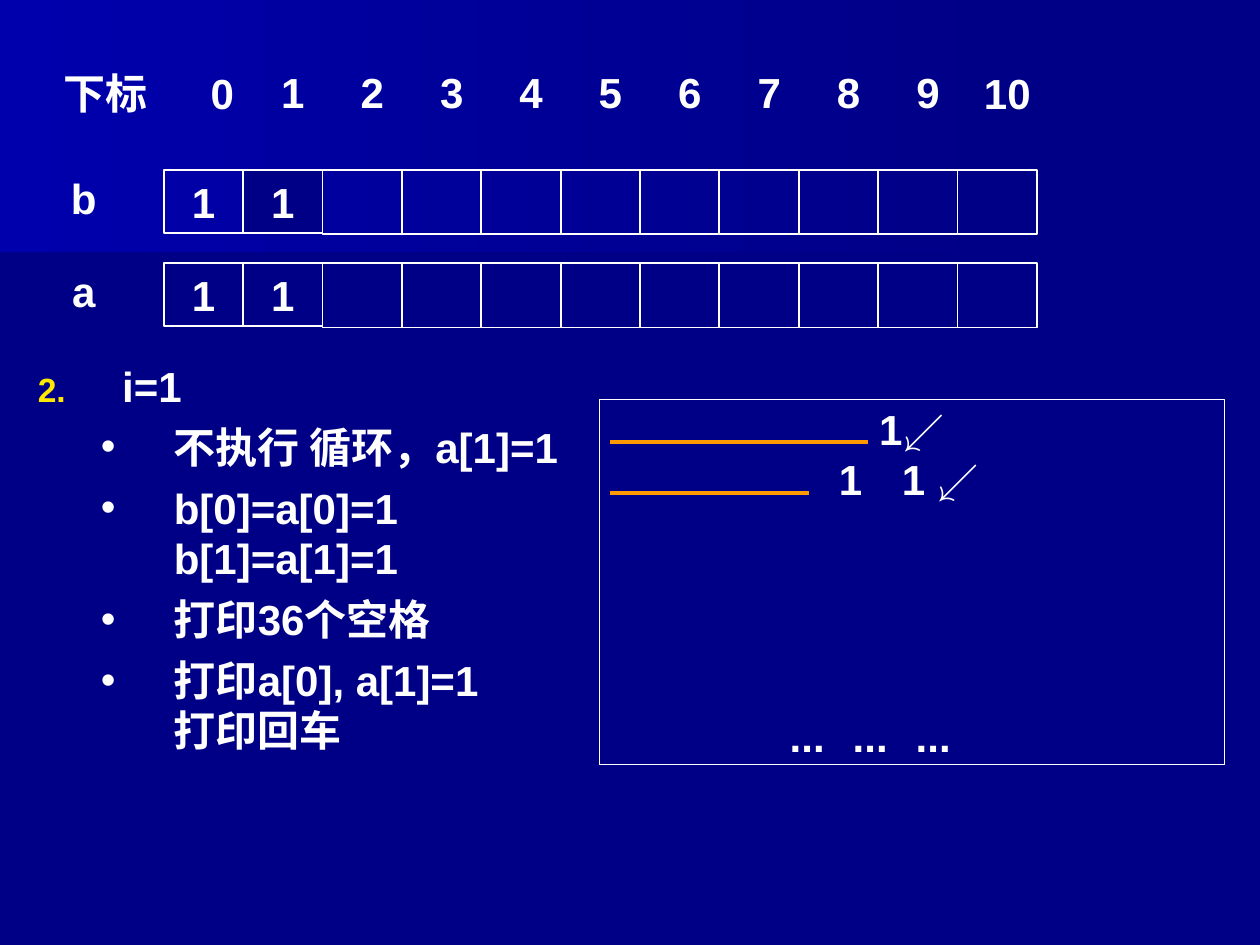
from copy import deepcopy

from lxml import etree
from pptx import Presentation
from pptx import util as u
from pptx.dml.color import RGBColor
from pptx.enum import shapes, text
from pptx.oxml.ns import qn

COLORS = {"background": "000086", "shade": "00007D", "glow": "0000AC",
          "white": "FFFFFF", "number": "FFE701", "blank": "FF9900"}
COLORS = {name: RGBColor.from_string(value) for name, value in COLORS.items()}

COLUMN = 0.63
ROW = 0.5
ARRAY_LEFT = 1.3
ARRAY_TOPS = {"b": 1.35, "a": 2.09}
INDEX_TOP = 0.48

presentation = Presentation()
presentation.slide_width, presentation.slide_height = u.Inches(10), u.Inches(7.5)
slide = presentation.slides.add_slide(presentation.slide_layouts[1])
slide.background.fill.solid()
slide.background.fill.fore_color.rgb = COLORS["background"]
title, body = slide.placeholders
title.element.getparent().remove(title.element)


def write(paragraph, words, align=text.PP_ALIGN.LEFT, before=0, left=0, hanging=0,
          level=0, tabs=(), bullet=()):
    """Fill a paragraph; bullet is a list of (tag, attributes), lengths in inches."""
    properties = paragraph._p.get_or_add_pPr()
    properties.set("marL", str(u.Inches(left)))
    properties.set("indent", str(u.Inches(-hanging)))
    for tag, attributes in bullet:
        element = etree.SubElement(properties, qn(tag), attributes)
        if tag == "a:buClr":
            etree.SubElement(element, qn("a:srgbClr"), val=str(bullet_color))
    if tabs:
        tab_list = etree.SubElement(properties, qn("a:tabLst"))
        for position in tabs:
            etree.SubElement(tab_list, qn("a:tab"), pos=str(u.Inches(position)), algn="l")
    paragraph.alignment = align
    paragraph.level = level
    paragraph.space_before = u.Pt(before)
    paragraph.text = words
    for run in paragraph.runs:
        run.font.name, run.font.size, run.font.bold = "Arial", u.Pt(24), True
        run.font.color.rgb = COLORS["white"]
    for line_break in paragraph._p.findall(qn("a:br")):
        line_break.append(deepcopy(paragraph.runs[0]._r.rPr))


def add_box(words, left, top, width=COLUMN, height=ROW, line=None, fill=None):
    place = [u.Inches(length) for length in (left, top, width, height)]
    if line:
        box = slide.shapes.add_shape(shapes.MSO_SHAPE.RECTANGLE, *place)
        box.shadow.inherit = False
        box.line.color.rgb, box.line.width = COLORS["white"], u.Pt(line)
        if fill:
            box.fill.solid()
            box.fill.fore_color.rgb = COLORS[fill]
        else:
            box.fill.background()
    else:
        box = slide.shapes.add_textbox(*place)
    box.text_frame.word_wrap = True
    box.text_frame.vertical_anchor = text.MSO_ANCHOR.TOP
    if words:
        write(box.text_frame.paragraphs[0], words, align=text.PP_ALIGN.CENTER)
    return box


# Background bands
for points, left_color in (
    ([(0, 1.01), (7.79, 1.01), (7.78, 1.53), (0, 2.17)], "shade"),
    ([(0, 0), (7.92, 0), (7.92, 1.62), (0, 2.08)], "glow"),
):
    builder = slide.shapes.build_freeform(*points[0], scale=u.Inches(1))
    builder.add_line_segments(points[1:], close=True)
    band = builder.convert_to_shape()
    band.shadow.inherit = False
    band.line.fill.background()
    band.fill.gradient()
    band.fill.gradient_angle = 180
    for stop, color, position in zip(band.fill.gradient_stops, ("background", left_color), (0, 1)):
        stop.color.rgb, stop.position = COLORS[color], position

# Index row and the two arrays
add_box("下标", 0.27, INDEX_TOP + 0.01, width=1.14)
add_box("0", 1.45, INDEX_TOP + 0.01)
for index in range(1, 11):
    add_box(str(index), 2.01 + (index - 1) * COLUMN, INDEX_TOP + (0.01 if index == 10 else 0))
for name, top in ARRAY_TOPS.items():
    add_box(name, 0.35, top - 0.03)
    for index in range(11):
        filled = index < 2
        add_box("1" if filled else "", ARRAY_LEFT + index * COLUMN, top,
                height=ROW if filled else ROW + 0.01, line=1,
                fill="background" if index == 1 else None)

# Steps
body.left, body.top, body.width, body.height = map(u.Inches, (0.2, 2.81, 8.9, 3.54))
frame = body.text_frame
frame.auto_size = text.MSO_AUTO_SIZE.NONE
frame.vertical_anchor = text.MSO_ANCHOR.TOP
bullet_color = COLORS["number"]
write(frame.paragraphs[0], "i=1", left=0.67, hanging=0.67,
      bullet=[("a:buClr", {}), ("a:buSzPct", {"val": "80000"}),
              ("a:buAutoNum", {"type": "arabicPeriod", "startAt": "2"})])
bullet_color = COLORS["white"]
for step in ("不执行 循环，a[1]=1", "b[0]=a[0]=1\vb[1]=a[1]=1",
             "打印36个空格", "打印a[0], a[1]=1\v打印回车"):
    write(frame.add_paragraph(), step, level=1, before=6, left=1.08, hanging=0.58,
          bullet=[("a:buClr", {}), ("a:buChar", {"char": "•"})])

# Printed output
output = add_box("", 4.76, 3.17, width=4.96, height=2.9, line=0.75).text_frame
output.vertical_anchor = text.MSO_ANCHOR.MIDDLE
write(output.paragraphs[0], "1↙", left=2.12)
write(output.add_paragraph(), "1\t1 ↙", left=1.8, tabs=[2.36])
write(output.add_paragraph(), "...\t...\t...", left=1.41, tabs=[2.24, 3.07], before=118)

for top, right in ((3.51, 6.89), (3.91, 6.42)):
    blank = slide.shapes.add_connector(
        shapes.MSO_CONNECTOR.STRAIGHT, *map(u.Inches, (4.84, top, right, top)))
    blank.line.color.rgb, blank.line.width = COLORS["blank"], u.Pt(2.25)
    etree.SubElement(blank.element.spPr, qn("a:effectLst"))

presentation.save("out.pptx")
